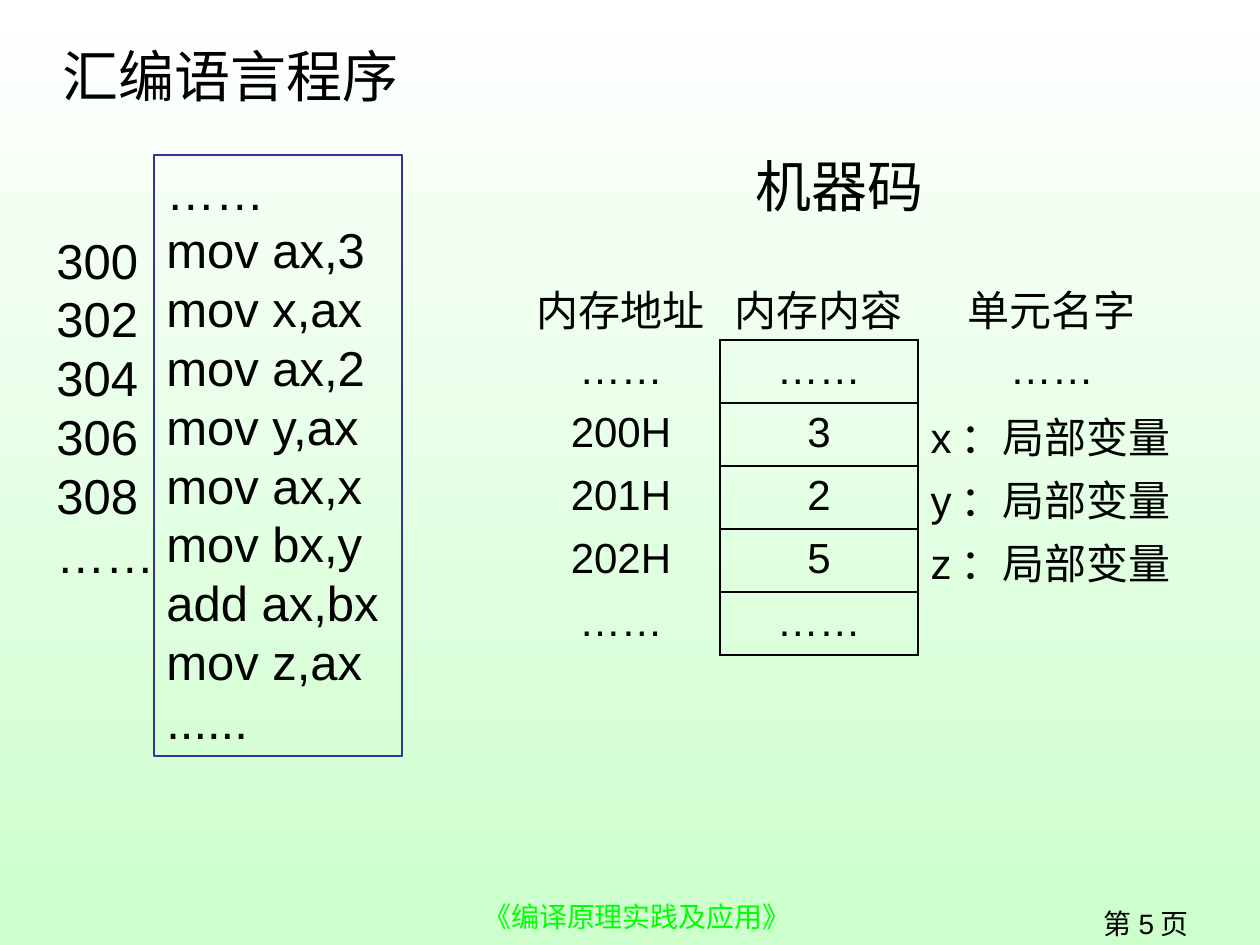
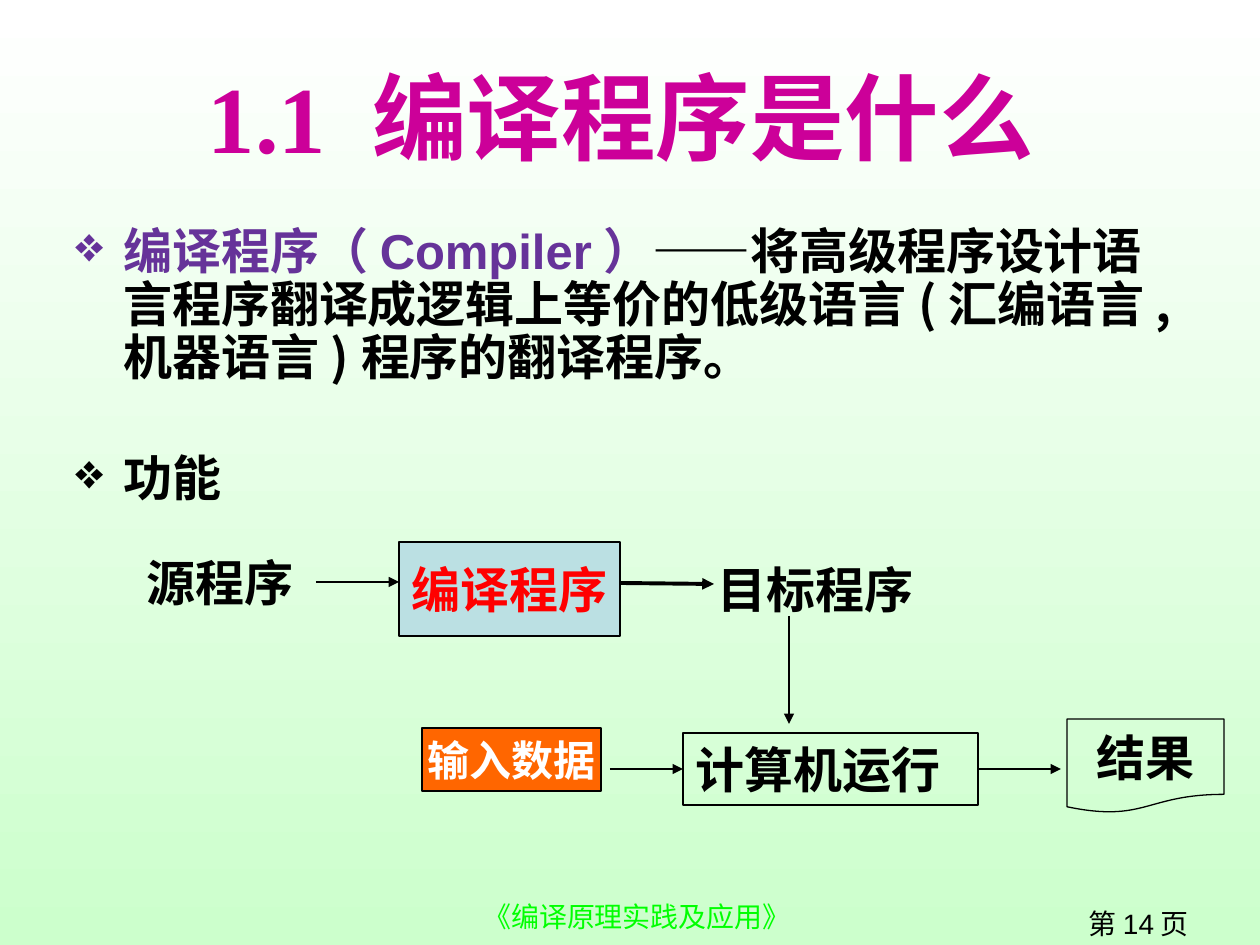
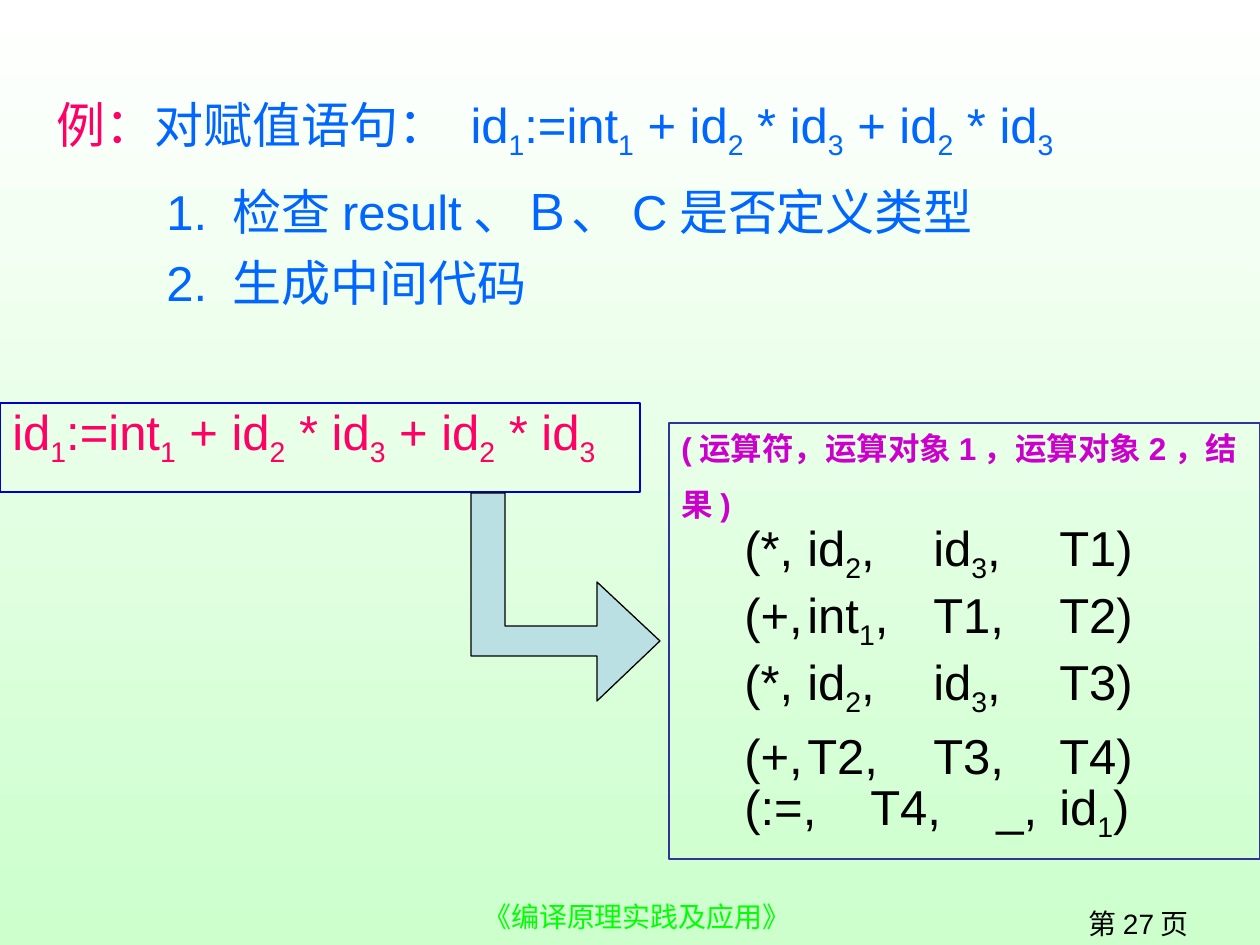
from dataclasses import dataclass, field

from lxml import etree
from pptx import Presentation
from pptx.dml.color import RGBColor
from pptx.enum.shapes import MSO_CONNECTOR, MSO_SHAPE
from pptx.enum.text import MSO_ANCHOR, PP_ALIGN
from pptx.oxml.ns import qn
from pptx.slide import Slide
from pptx.util import Emu, Pt

RECT = MSO_SHAPE.RECTANGLE
DOCUMENT = MSO_SHAPE.FLOWCHART_DOCUMENT
STRAIGHT = MSO_CONNECTOR.STRAIGHT
TOP, MIDDLE = MSO_ANCHOR.TOP, MSO_ANCHOR.MIDDLE
LEFT, CENTER, RIGHT = PP_ALIGN.LEFT, PP_ALIGN.CENTER, PP_ALIGN.RIGHT

COLORS = {
    "black": "000000", "white": "FFFFFF", "mint": "CCFFCC", "green": "00FF00",
    "navy": "333399", "blue": "0000CC", "azure": "0066FF", "purple": "663399",
    "magenta": "CC0099", "violet": "CC00CC", "pink": "FF0066", "red": "FF0000",
    "orange": "FF6600", "ice": "BBE0E3",
}
SANS, SERIF, CJK = "Arial", "Times New Roman", "Noto Sans CJK SC"
PX_PER_INCH = 126
PAGE_W, PAGE_H = 1260, 945
LEADING = 1.2
FORMULA = "id|1|:=int|1| + id|2| * id|3| + id|2| * id|3|"


@dataclass
class Run:
    text: str
    size: int = 28
    color: str = "black"
    bold: bool = False
    font: str = SANS
    sub: bool = False


@dataclass
class Para:
    runs: list[Run]
    align: PP_ALIGN = LEFT
    leading: float = LEADING
    before: float = 0
    indent: int = 0
    hanging: int = 0
    bullet: str = ""
    tabs: tuple[int, ...] = ()


@dataclass
class Box:
    x: int
    y: int
    w: int
    h: int
    paras: list[Para] = field(default_factory=list)
    shape: MSO_SHAPE | None = None
    fill: str = ""
    line: str = "black"
    anchor: MSO_ANCHOR = TOP
    wrap: bool = True


@dataclass
class Arrow:
    x1: int
    y1: int
    x2: int
    y2: int
    weight: float = 1.5


def px(n: int) -> Emu:
    return Emu(round(n * 914400 / PX_PER_INCH))


def rgb(name: str) -> RGBColor:
    return RGBColor.from_string(COLORS[name])


def sub_element(parent, tag: str, **attrs: str):
    return etree.SubElement(parent, qn(tag), attrs)


def formula(text: str, color: str = "black") -> list[Run]:
    return [Run(part, color=color, sub=i % 2 == 1)
            for i, part in enumerate(text.split("|"))]


def lines(*texts: str) -> list[Para]:
    return [Para([Run(text)]) for text in texts]


def label(text: str, color: str = "black", size: int = 28,
          align: PP_ALIGN = LEFT) -> list[Para]:
    return [Para([Run(text, size, color, True, SERIF)], align)]


def add_run(p, run: Run) -> None:
    r = p.add_run()
    r.text = run.text
    r.font.size = Pt(run.size)
    r.font.bold = run.bold
    r.font.name = run.font
    r.font.color.rgb = rgb(run.color)
    rPr = r._r.get_or_add_rPr()
    sub_element(rPr, "a:ea", typeface=CJK)
    if run.sub:
        rPr.set("baseline", "-25000")


def fill_paragraph(p, para: Para) -> None:
    p.alignment = para.align
    p.space_before = Pt(para.before)
    if para.leading:
        p.line_spacing = Pt(round(para.leading * para.runs[0].size, 2))
    if any(run.sub for run in para.runs):
        p.space_after = Pt(4.5)
    pPr = p._p.get_or_add_pPr()
    pPr.set("marL", str(px(para.indent)))
    pPr.set("indent", str(px(-para.hanging)))
    if para.bullet:
        color = sub_element(pPr, "a:buClr")
        sub_element(color, "a:srgbClr", val=COLORS[para.bullet])
        sub_element(pPr, "a:buChar", char="❖")
    if para.tabs:
        stops = sub_element(pPr, "a:tabLst")
        for stop in para.tabs:
            sub_element(stops, "a:tab", pos=str(px(stop)), algn="l")
    for run in para.runs:
        add_run(p, run)


def style_shape(sp, fill: str, line: str) -> None:
    sp.shadow.inherit = False
    if fill:
        sp.fill.solid()
        sp.fill.fore_color.rgb = rgb(fill)
    else:
        sp.fill.background()
    sp.line.color.rgb = rgb(line)
    sp.line.width = Pt(0.75)


def draw_box(s: Slide, box: Box) -> None:
    frame = [px(n) for n in (box.x, box.y, box.w, box.h)]
    if box.shape is None:
        sp = s.shapes.add_textbox(*frame)
    else:
        sp = s.shapes.add_shape(box.shape, *frame)
        style_shape(sp, box.fill, box.line)
    tf = sp.text_frame
    tf.word_wrap = box.wrap
    tf.vertical_anchor = box.anchor
    for i, para in enumerate(box.paras):
        fill_paragraph(tf.add_paragraph() if i else tf.paragraphs[0], para)


def draw_arrow(s: Slide, arrow: Arrow) -> None:
    ends = [px(n) for n in (arrow.x1, arrow.y1, arrow.x2, arrow.y2)]
    c = s.shapes.add_connector(STRAIGHT, *ends)
    c.line.color.rgb = rgb("black")
    c.line.width = Pt(arrow.weight)
    spPr = c._element.spPr
    sub_element(spPr.find(qn("a:ln")), "a:tailEnd", type="triangle")
    sub_element(spPr, "a:effectLst")


def draw_borders(cell, row: int, col: int) -> None:
    body = row > 0
    ruled = {
        "a:lnL": body and col in (1, 2),
        "a:lnR": body and col in (0, 1),
        "a:lnT": body and col == 1,
        "a:lnB": col == 1,
    }
    tcPr = cell._tc.get_or_add_tcPr()
    for i, (tag, visible) in enumerate(ruled.items()):
        ln = etree.Element(qn(tag), w=str(Pt(1.08)))
        if visible:
            solid = sub_element(ln, "a:solidFill")
            sub_element(solid, "a:srgbClr", val=COLORS["black"])
        else:
            sub_element(ln, "a:noFill")
        tcPr.insert(i, ln)


def draw_memory_table(s: Slide) -> None:
    rows = [
        ("内存地址", "内存内容", "单元名字"),
        ("……", "……", "……"),
        ("200H", "3", "x：局部变量"),
        ("201H", "2", "y：局部变量"),
        ("202H", "5", "z：局部变量"),
        ("……", "……", ""),
    ]
    widths, heights = (198, 198, 268), (64, 63, 63, 63, 63, 63)
    table = s.shapes.add_table(len(rows), len(widths), px(522), px(276),
                               px(sum(widths)), px(sum(heights))).table
    table.first_row = False
    table.horz_banding = False
    for column, width in zip(table.columns, widths):
        column.width = px(width)
    for i, texts in enumerate(rows):
        table.rows[i].height = px(heights[i])
        for j, text in enumerate(texts):
            cell = table.cell(i, j)
            named = "：" in text
            cell.fill.background()
            cell.margin_top = px(12 if i == 0 or named else 3)
            cell.margin_bottom = 0
            draw_borders(cell, i, j)
            if text:
                align = LEFT if named else CENTER
                fill_paragraph(cell.text_frame.paragraphs[0],
                               Para([Run(text, 24)], align))


def draw_bent_arrow(s: Slide) -> None:
    outline = [(660, 641), (597, 582), (597, 626), (505, 626), (505, 493),
               (471, 493), (471, 656), (597, 656), (597, 701)]
    points = [(px(x), px(y)) for x, y in outline]
    builder = s.shapes.build_freeform(*points[0], scale=1.0)
    builder.add_line_segments(points[1:], close=True)
    style_shape(builder.convert_to_shape(), "ice", "black")


def set_background(prs) -> None:
    fill = prs.slide_master.background.fill
    fill.gradient()
    fill.gradient_angle = 270
    for stop, color in zip(fill.gradient_stops, ("white", "mint")):
        stop.color.rgb = rgb(color)


def new_slide(prs, page: int) -> Slide:
    s = prs.slides.add_slide(prs.slide_layouts[6])
    draw_box(s, Box(471, 893, 338, 55,
                    [Para([Run("《编译原理实践及应用》", 16, "green")])]))
    draw_box(s, Box(907, 900, 294, 35,
                    [Para([Run(f"第{page}页", 16)], RIGHT)]))
    return s


def assembly_slide(prs) -> None:
    s = new_slide(prs, 5)
    code = lines("……", "mov ax,3", "mov x,ax", "mov ax,2", "mov y,ax",
                 "mov ax,x", "mov bx,y", "add ax,bx", "mov z,ax", "......")
    addresses = lines("300", "302", "304", "306", "308", "……")
    for box in (
        Box(50, 35, 362, 81, [Para([Run("汇编语言程序", 32)])], wrap=False),
        Box(154, 155, 248, 601, code, RECT, line="navy"),
        Box(44, 224, 129, 365, addresses),
        Box(680, 106, 319, 158, [Para([Run("机器码", 32)], CENTER)],
            anchor=MIDDLE),
    ):
        draw_box(s, box)
    draw_memory_table(s)


def compiler_slide(prs) -> None:
    s = new_slide(prs, 14)
    definition = [
        Run("编译程序（Compiler）", color="purple", bold=True),
        Run("——", bold=True),
        Run("将高级程序设计语言程序翻译成逻辑上等价的低级语言"
            "(汇编语言,机器语言)程序的翻译程序。", bold=True, font=CJK),
    ]
    tight = LEADING * 0.9
    body = [
        Para(definition, leading=tight, indent=48, hanging=48,
             bullet="purple"),
        Para([Run("功能", bold=True)], leading=tight, before=39, indent=48,
             hanging=48, bullet="black"),
    ]
    for box in (
        Box(54, 37, 1134, 158,
            label("1.1 编译程序是什么", "magenta", 54, CENTER),
            anchor=MIDDLE),
        Box(63, 220, 1134, 669, body),
        Box(399, 542, 221, 94, label("编译程序", "red", align=CENTER), RECT,
            "ice", anchor=MIDDLE, wrap=False),
        Box(134, 546, 189, 72, label("源程序")),
        Box(705, 553, 263, 72, label("目标程序")),
        Box(683, 733, 295, 72, label("计算机运行"), RECT),
        Box(422, 728, 179, 63, label("输入数据", "white", 24, CENTER), RECT,
            "orange", anchor=MIDDLE, wrap=False),
        Box(1067, 719, 157, 94, label("结果", align=CENTER), DOCUMENT,
            anchor=MIDDLE, wrap=False),
    ):
        draw_box(s, box)
    for arrow in (
        Arrow(620, 583, 714, 584, 2.25),
        Arrow(316, 582, 399, 582),
        Arrow(610, 769, 683, 769),
        Arrow(789, 616, 789, 724),
        Arrow(978, 769, 1061, 769),
    ):
        draw_arrow(s, arrow)


def intermediate_code_slide(prs) -> None:
    s = new_slide(prs, 27)
    example = [Run("例：", color="pink")]
    example += formula("对赋值语句： " + FORMULA, "azure")
    steps = [Para([Run(text, color="azure")], before=7, indent=110)
             for text in ("1. 检查result、Ｂ、C是否定义类型", "2. 生成中间代码")]
    header = [Run("(运算符，运算对象1，运算对象2，结果)", 18, "violet", True),
              Run(" ")]
    columns = (14, 114, 223, 332)
    quads = [
        ("(*,\tid|2|,\tid|3|,\tT1)", columns),
        ("(+,\tint|1|,\tT1,\tT2)", columns),
        ("(*,\tid|2|,\tid|3|,\tT3)", columns),
        ("(+,\tT2,\tT3,\tT4)", columns),
        ("(:=,\tT4,\t_,\tid|1|)", (14, 114, 250, 332)),
    ]
    code = [Para(header, leading=0)]
    code += [Para(formula("\t" + text), tabs=tabs) for text, tabs in quads]
    for box in (
        Box(44, 96, 1134, 242, [Para(example), *steps]),
        Box(669, 423, 591, 436, code, RECT, line="navy"),
        Box(0, 403, 640, 89, [Para(formula(FORMULA, "pink"))], RECT,
            line="blue"),
    ):
        draw_box(s, box)
    draw_bent_arrow(s)


def main() -> None:
    prs = Presentation()
    prs.slide_width, prs.slide_height = px(PAGE_W), px(PAGE_H)
    set_background(prs)
    assembly_slide(prs)
    compiler_slide(prs)
    intermediate_code_slide(prs)
    prs.save("out.pptx")


if __name__ == "__main__":
    main()
